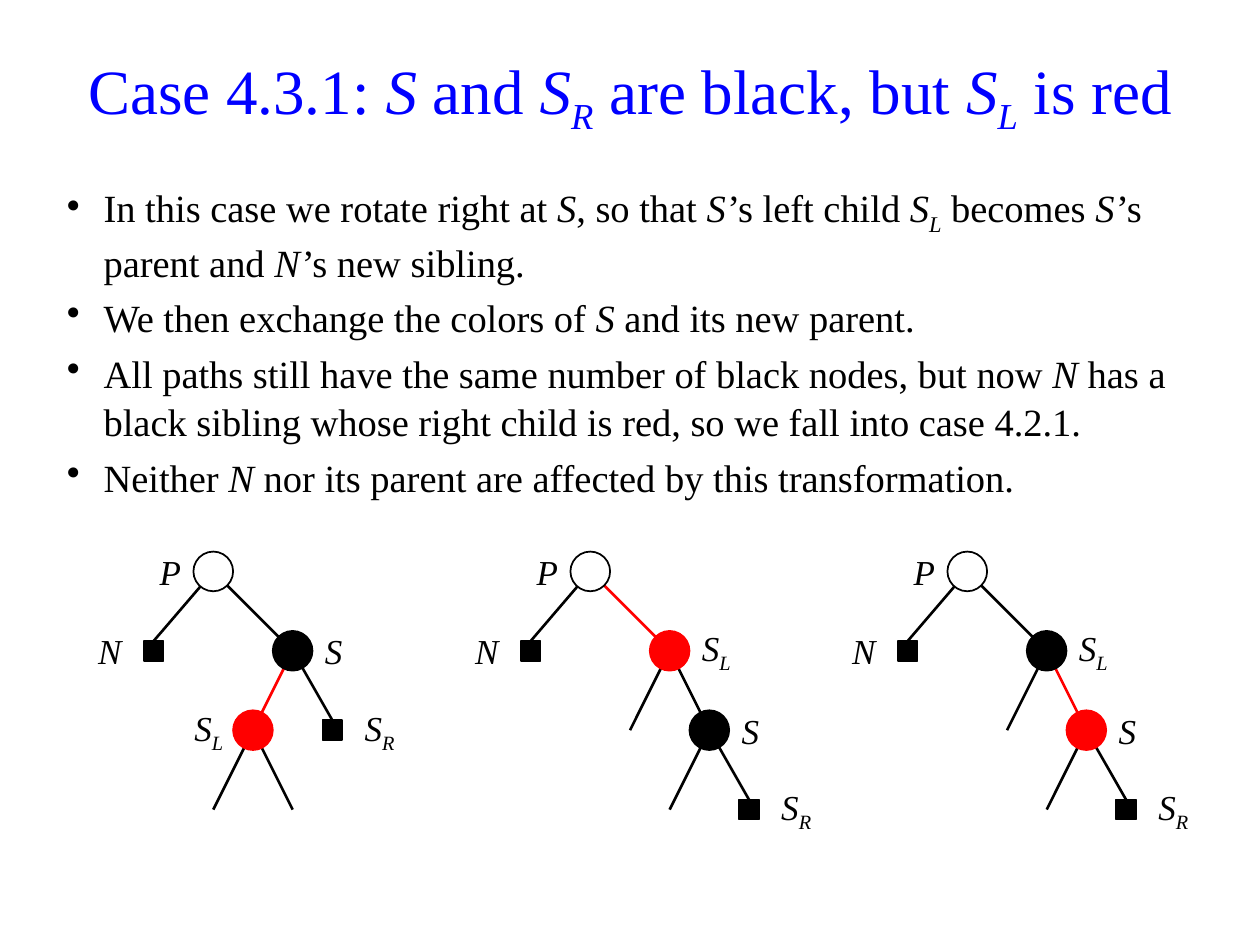
from lxml.etree import SubElement
from pptx import Presentation
from pptx.dml.color import RGBColor
from pptx.enum.shapes import MSO_CONNECTOR, MSO_SHAPE
from pptx.enum.text import MSO_ANCHOR, PP_ALIGN
from pptx.oxml.ns import qn
from pptx.util import Cm, Pt

BLACK, WHITE, RED, BLUE = "000000", "FFFFFF", "FF0000", "0000FF"


def rgb(color):
    return RGBColor.from_string(color)


def add_runs(p, text, size, color):
    """Fill a paragraph; every second part between bars is italic, _ starts a subscript."""
    parts = text.split("|")
    for i, part in enumerate(parts):
        for j, piece in enumerate(part.split("_")):
            if not piece:
                continue
            r = p.add_run()
            r.text = piece
            r.font.name = "Times New Roman"
            r.font.size = Pt(size)
            r.font.color.rgb = rgb(color)
            r.font.italic = i % 2 == 1
            if j:
                r.font._element.set("baseline", "-25000")
            if i % 2 and parts[i + 1].startswith("’"):
                r.font._element.set("spc", "100")


prs = Presentation()
prs.slide_width, prs.slide_height = Cm(25.4), Cm(19.05)
s = prs.slides.add_slide(prs.slide_layouts[5])

# Title
title = s.shapes.title
title.left, title.top, title.width, title.height = Cm(1.1), Cm(0.7), Cm(23.2), Cm(2.4)
title.text_frame.vertical_anchor = MSO_ANCHOR.MIDDLE
p = title.text_frame.paragraphs[0]
p.alignment = PP_ALIGN.CENTER
add_runs(p, "Case 4.3.1: |S| and| S_R| are black, but |S_L| is red", 36, BLUE)

# Bullets
bullets = [
    "In this case we rotate right at |S|, so that |S|’s left child |S_L| becomes |S|’s "
    "parent and |N|’s new sibling.",
    "We then exchange the colors of |S| and its new parent.",
    "All paths still have the same number of black nodes, but now |N| has a "
    "black sibling whose right child is red, so we fall into case 4.2.1.",
    "Neither |N| nor its parent are affected by this transformation.",
]
tf = s.shapes.add_textbox(Cm(1.1), Cm(3.55), Cm(23.6), Cm(6.4)).text_frame
tf.word_wrap = True
for i, text in enumerate(bullets):
    p = tf.paragraphs[0] if i == 0 else tf.add_paragraph()
    pPr = p._p.get_or_add_pPr()
    pPr.set("marL", str(Cm(0.74)))
    pPr.set("indent", str(-Cm(0.74)))
    SubElement(pPr, qn("a:buChar")).set("char", "•")
    p.line_spacing = 1.04
    p.space_before = Pt(4.4 if i else 0)
    add_runs(p, text, 22, BLACK)

# Trees: each node is (column, row, parent) on a grid whose origin is P
UNIT = 0.8
TREE_LEFT, TREE_TOP, TREE_STEP = 4.3, 11.52, 7.6
LEAVES = ("N", "S_R")
shared = {"P": (0, 0, None), "N": (-1.5, 2, "P")}
before = {"S": (2, 2, "P"), "S_L": (1, 4, "S"), "S_R": (3, 4, "S")}
after = {"S_L": (2, 2, "P"), "S": (3, 4, "S_L"), "S_R": (4, 6, "S")}
before_stubs = [(0, 6, "S_L"), (2, 6, "S_L")]
after_stubs = [(1, 4, "S_L"), (2, 6, "S")]
trees = [
    (before, before_stubs, "S_L"),
    (after, after_stubs, "S_L"),
    (after, after_stubs, "S"),
]

for n, (own_nodes, stubs, red_node) in enumerate(trees):
    nodes = {
        name: (TREE_LEFT + n * TREE_STEP + x * UNIT, TREE_TOP + y * UNIT, parent)
        for name, (x, y, parent) in {**shared, **own_nodes}.items()
    }
    edges = [(name, *node) for name, node in nodes.items() if node[2]]
    edges += [(None, TREE_LEFT + n * TREE_STEP + x * UNIT, TREE_TOP + y * UNIT, parent)
              for x, y, parent in stubs]

    # Leaves come first so edges can join them; circles then cover the edge ends
    squares = {}
    for name in LEAVES:
        x, y, _ = nodes[name]
        sp = s.shapes.add_shape(MSO_SHAPE.RECTANGLE, Cm(x - UNIT / 4), Cm(y - UNIT / 4),
                                Cm(UNIT / 2), Cm(UNIT / 2))
        squares[name] = sp

    for name, x, y, parent in edges:
        px, py, _ = nodes[parent]
        line = s.shapes.add_connector(MSO_CONNECTOR.STRAIGHT, Cm(px), Cm(py), Cm(x), Cm(y))
        if name in squares:
            line.end_connect(squares[name], 0)
        line.line.color.rgb = rgb(RED if name == red_node else BLACK)
        line.line.width = Pt(1.5)
        SubElement(line._element.spPr, qn("a:effectLst"))

    for name, (x, y, _) in nodes.items():
        sp = squares.get(name) or s.shapes.add_shape(
            MSO_SHAPE.OVAL, Cm(x - UNIT / 2), Cm(y - UNIT / 2), Cm(UNIT), Cm(UNIT))
        color = RED if name == red_node else BLACK
        sp.shadow.inherit = False
        sp.fill.solid()
        sp.fill.fore_color.rgb = rgb(WHITE if name == "P" else color)
        sp.line.color.rgb = rgb(color)
        sp.line.width = Pt(1)

        on_left = x < nodes["P"][0] + 1.5 * UNIT
        label_left = x - 2 * UNIT if on_left else x + UNIT / 2
        label = s.shapes.add_textbox(Cm(label_left), Cm(y - UNIT), Cm(1.5 * UNIT), Cm(2 * UNIT))
        tf = label.text_frame
        tf.word_wrap = True
        tf.vertical_anchor = MSO_ANCHOR.MIDDLE
        if name == "S_L":
            tf.margin_right = Cm(0.2)
        p = tf.paragraphs[0]
        p.alignment = PP_ALIGN.RIGHT if on_left else PP_ALIGN.LEFT
        add_runs(p, f"|{name}|", 20, BLACK)

prs.save("out.pptx")
